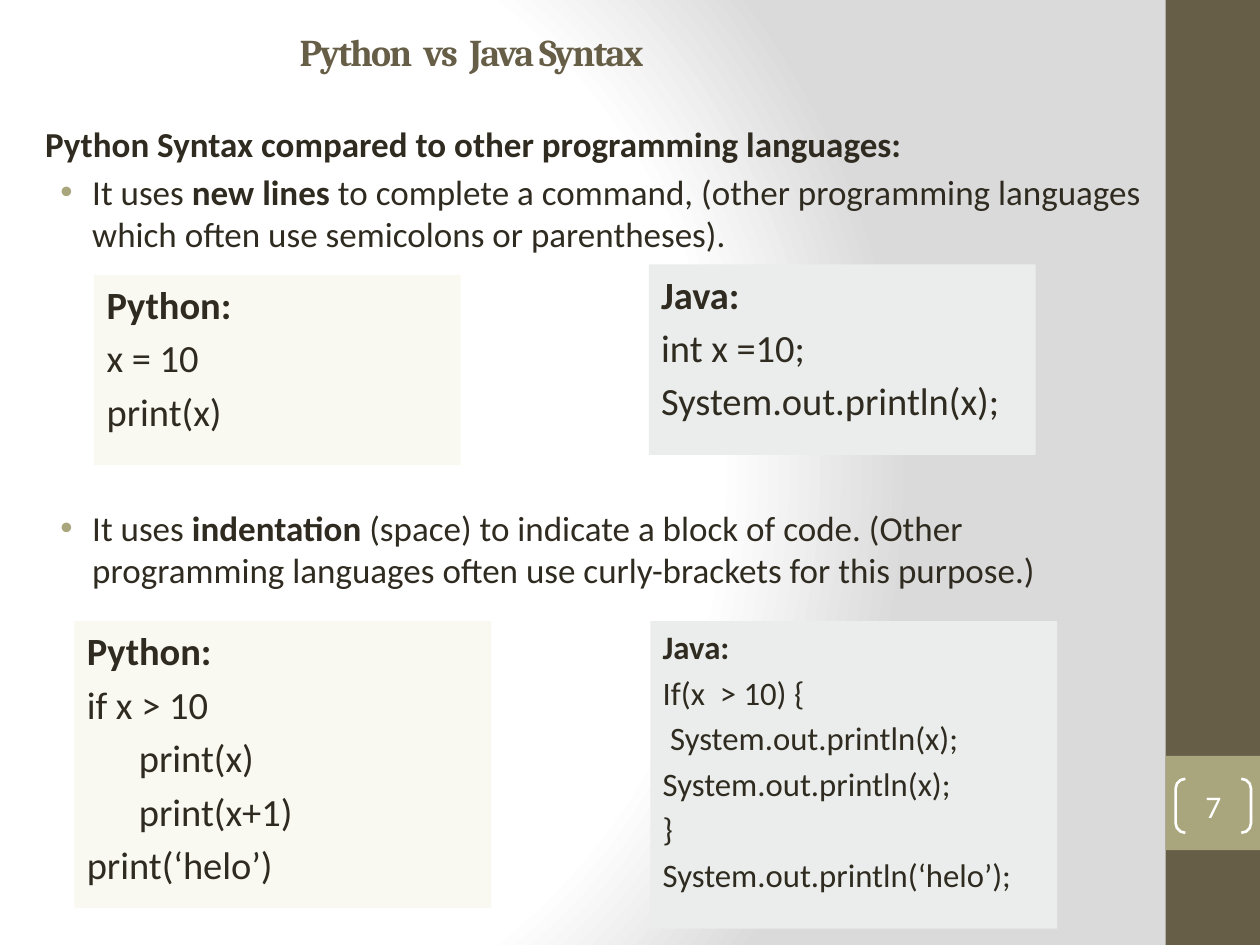
from dataclasses import dataclass
from lxml.etree import SubElement
from pptx import Presentation
from pptx.dml.color import RGBColor
from pptx.enum.shapes import MSO_SHAPE as Preset
from pptx.enum.text import MSO_ANCHOR as Anchor, PP_ALIGN as Align
from pptx.oxml.ns import qn
from pptx.util import Cm, Pt

BROWN, OLIVE, INK, WHITE = "675E47", "A9A57C", "2F2B20", "FFFFFF"
CREAM, MIST = "F9F8F1", "EAEDEB"
SPACING_RATIO = 0.19


@dataclass(frozen=True)
class Box:
    left: float
    top: float
    width: float
    height: float

    def lengths(self) -> tuple:
        return tuple(Cm(v) for v in (self.left, self.top, self.width, self.height))


@dataclass(frozen=True)
class CodeLine:
    text: str
    indent: float = 0


@dataclass(frozen=True)
class CodePanel:
    box: Box
    fill: str
    size: float
    heading: str
    lines: tuple


@dataclass(frozen=True)
class Point:
    lead: str
    keyword: str
    rest: str
    space_before: float


def color(value: str) -> RGBColor:
    return RGBColor.from_string(value)


def add_shape(slide, box: Box, fill=None, preset=Preset.RECTANGLE):
    shape = slide.shapes.add_shape(preset, *box.lengths())
    shape.shadow.inherit = False
    shape.line.fill.background()
    if fill:
        shape.fill.solid()
        shape.fill.fore_color.rgb = color(fill)
    else:
        shape.fill.background()
    return shape


def add_text_frame(slide, box: Box, anchor=Anchor.TOP):
    frame = slide.shapes.add_textbox(*box.lengths()).text_frame
    frame.word_wrap = True
    frame.vertical_anchor = anchor
    return frame


def add_run(paragraph, text: str, *, size: float, font="Calibri", fill=INK, bold=False):
    run = paragraph.add_run()
    run.text = text
    run.font.size = Pt(size)
    run.font.name = font
    run.font.bold = bold
    run.font.color.rgb = color(fill)
    return run


def add_paragraph(frame, *, space_before=0.0, align=Align.LEFT, margin=0.0, hanging=0.0):
    first = frame.paragraphs[0]
    paragraph = frame.add_paragraph() if first.runs else first
    paragraph.alignment = align
    paragraph.space_before = Pt(space_before)
    properties = paragraph._p.get_or_add_pPr()
    properties.set("marL", str(Cm(margin)))
    properties.set("indent", str(-Cm(hanging)))
    return paragraph


def add_bullet(paragraph, fill: str) -> None:
    properties = paragraph._p.get_or_add_pPr()
    bullet_color = SubElement(properties, qn("a:buClr"))
    SubElement(bullet_color, qn("a:srgbClr"), val=fill)
    SubElement(properties, qn("a:buFont"), typeface="Arial")
    SubElement(properties, qn("a:buChar"), char="•")


def set_background(slide) -> None:
    slide.background.fill.gradient()
    gradient = slide.element.find(".//" + qn("a:gradFill"))
    gradient.clear()
    gradient.set("rotWithShape", "1")
    stops = SubElement(gradient, qn("a:gsLst"))
    for position, value in ((0, WHITE), (75, WHITE), (100, "DADADA")):
        stop = SubElement(stops, qn("a:gs"), pos=str(position * 1000))
        SubElement(stop, qn("a:srgbClr"), val=value)
    circle = SubElement(gradient, qn("a:path"), path="circle")
    SubElement(circle, qn("a:fillToRect"), l="20000", t="50000", r="100000", b="50000")


def add_title(slide) -> None:
    frame = add_text_frame(slide, Box(0.71, 0.33, 21.01, 1.4), Anchor.MIDDLE)
    paragraph = add_paragraph(frame, margin=5.08)
    run = add_run(paragraph, "Python  vs  Java Syntax", size=21.6,
                  font="Cambria", fill=BROWN, bold=True)
    run.font._element.set("spc", "-100")


def add_body(slide, heading: str, points: tuple, size=20) -> None:
    frame = add_text_frame(slide, Box(0.66, 2.34, 22.86, 16.41))
    paragraph = add_paragraph(frame, space_before=size * SPACING_RATIO)
    add_run(paragraph, heading, size=size, bold=True)
    for point in points:
        paragraph = add_paragraph(frame, space_before=point.space_before,
                                  margin=0.95, hanging=0.64)
        add_bullet(paragraph, OLIVE)
        add_run(paragraph, point.lead, size=size)
        add_run(paragraph, point.keyword, size=size, bold=True)
        add_run(paragraph, point.rest, size=size)


def add_panel(slide, panel: CodePanel) -> None:
    frame = add_shape(slide, panel.box, panel.fill).text_frame
    frame.word_wrap = True
    frame.vertical_anchor = Anchor.TOP
    for number, line in enumerate((CodeLine(panel.heading), *panel.lines)):
        paragraph = add_paragraph(frame, margin=line.indent,
                                  space_before=panel.size * SPACING_RATIO)
        add_run(paragraph, line.text, size=panel.size, bold=number == 0)


def add_page_number(slide, number: str) -> None:
    bracket = add_shape(slide, Box(23.7, 15.7, 1.52, 1.09), preset=Preset.DOUBLE_BRACKET)
    bracket.adjustments[0] = 0.18
    bracket.line.color.rgb = color(WHITE)
    bracket.line.width = Pt(1.5)
    frame = bracket.text_frame
    frame.margin_left = frame.margin_right = frame.margin_top = frame.margin_bottom = 0
    frame.vertical_anchor = Anchor.MIDDLE
    add_run(add_paragraph(frame, align=Align.CENTER), number, size=18, fill=WHITE)


POINTS = (
    Point("It uses ", "new lines ", "to complete a command, (other programming "
          "languages which often use semicolons or parentheses).", 3.8),
    Point("It uses ", "indentation", " (space) to indicate a block of code. (Other "
          "programming languages often use curly-brackets for this purpose.)", 143.6),
)
PANELS = (
    CodePanel(Box(1.9, 5.54, 7.39, 3.84), CREAM, 22, "Python:",
              (CodeLine("x = 10"), CodeLine("print(x)"))),
    CodePanel(Box(13.08, 5.33, 7.8, 3.84), MIST, 22, "Java:",
              (CodeLine("int x =10;"), CodeLine("System.out.println(x);"))),
    CodePanel(Box(1.5, 12.52, 8.41, 5.79), CREAM, 22, "Python:",
              (CodeLine("if x > 10"), CodeLine("print(x)", 1.05),
               CodeLine("print(x+1)", 1.05), CodeLine("print(‘helo’)"))),
    CodePanel(Box(13.11, 12.52, 8.2, 6.2), MIST, 18.7, "Java:",
              (CodeLine("If(x  > 10) {"), CodeLine("System.out.println(x);", 0.15),
               CodeLine("System.out.println(x);"), CodeLine("}"),
               CodeLine("System.out.println(‘helo’);"))),
)

presentation = Presentation()
presentation.slide_width, presentation.slide_height = Cm(25.4), Cm(19.05)
slide = presentation.slides.add_slide(presentation.slide_layouts[6])
set_background(slide)
add_shape(slide, Box(23.5, 0, 1.9, 19.05), BROWN)
add_shape(slide, Box(23.5, 15.24, 1.9, 1.9), OLIVE)
add_title(slide)
add_body(slide, "Python Syntax compared to other programming languages:", POINTS)
add_page_number(slide, "7")
for code_panel in PANELS:
    add_panel(slide, code_panel)
presentation.save("out.pptx")
